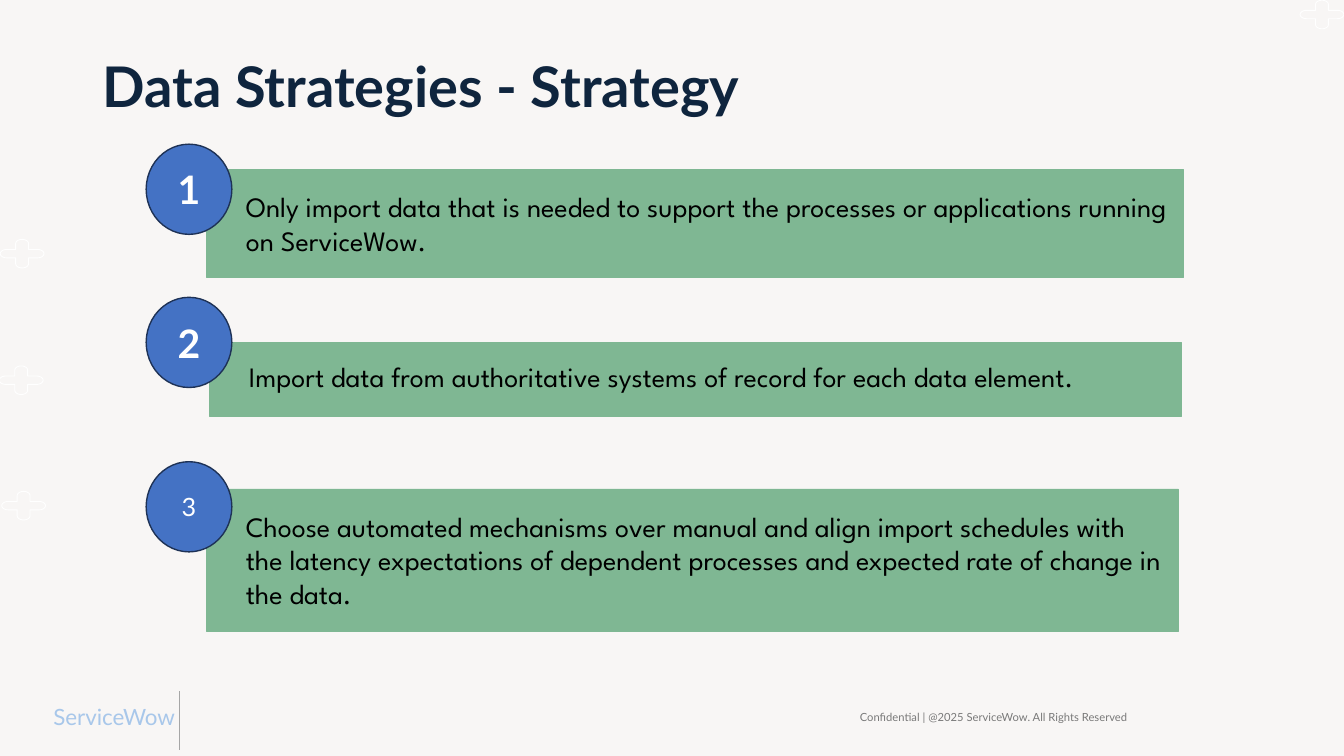
import math
from dataclasses import dataclass

from lxml import etree
from pptx import Presentation
from pptx.dml.color import RGBColor
from pptx.enum import shapes, text
from pptx.oxml import ns
from pptx.util import Pt

COLORS = {
    "background": "F8F6F5",
    "title": "0F253E",
    "wordmark": "A8C7EA",
    "divider": "A6A6A6",
    "cross": "FFFFFF",
    "footer": "797979",
    "panel": "7FB793",
    "badge": "4472C4",
    "badge_line": "1E3256",
    "number": "FFFFFF",
    "body": "000000",
}
HEADING_FONT = "Lato"
BODY_FONT = "League Spartan"


@dataclass(frozen=True)
class Box:
    left: float
    top: float
    width: float
    height: float

    def lengths(self) -> tuple:
        return Pt(self.left), Pt(self.top), Pt(self.width), Pt(self.height)


@dataclass(frozen=True)
class Strategy:
    number: str
    wording: str
    panel: Box
    badge_top: float
    number_size: float = 28
    number_bold: bool = True


@dataclass(frozen=True)
class Cross:
    center_x: float
    center_y: float


STRATEGIES = [
    Strategy(
        "3",
        "Choose automated mechanisms over manual and align import schedules with "
        "the latency expectations of dependent processes and expected rate of "
        "change in the data.",
        Box(147.6, 349.2, 694.1, 101.5), 329.8, 18, False,
    ),
    Strategy(
        "2",
        "Import data from authoritative systems of record for each data element.",
        Box(149.8, 244.8, 694.1, 52.6), 212.4,
    ),
    Strategy(
        "1",
        "Only import data that is needed to support the processes or applications "
        "running on ServiceWow.",
        Box(147.6, 121.2, 697.7, 77), 103,
    ),
]
CROSSES = [
    Cross(944.3, 10.4),
    Cross(15.8, 181.2),
    Cross(15.2, 271.6),
    Cross(16.9, 361.2),
]


def color(name: str) -> RGBColor:
    return RGBColor.from_string(COLORS[name])


def write(shape, wording: str, size: float, color_name: str, font: str = HEADING_FONT,
          bold: bool = False, align=text.PP_ALIGN.LEFT,
          anchor=text.MSO_ANCHOR.TOP) -> None:
    frame = shape.text_frame
    frame.text = wording
    frame.word_wrap = True
    frame.vertical_anchor = anchor
    paragraph = frame.paragraphs[0]
    paragraph.alignment = align
    paragraph.font.size = Pt(size)
    paragraph.font.name = font
    paragraph.font.bold = bold
    paragraph.font.color.rgb = color(color_name)


def set_outline(shape, color_name: str, width: float) -> None:
    shape.line.color.rgb = color(color_name)
    shape.line.width = Pt(width)


def add_filled(parent, kind, box: Box, fill: str, line: str, line_width: float):
    shape = parent.shapes.add_shape(kind, *box.lengths())
    shape.shadow.inherit = False
    shape.fill.solid()
    shape.fill.fore_color.rgb = color(fill)
    set_outline(shape, line, line_width)
    return shape


def add_strategy(slide, strategy: Strategy) -> None:
    group = slide.shapes.add_group_shape()
    panel = add_filled(group, shapes.MSO_SHAPE.RECTANGLE, strategy.panel,
                       "panel", "panel", 0.5)
    write(panel, strategy.wording, 20, "body", BODY_FONT)
    frame = panel.text_frame
    frame.margin_left, frame.margin_right = Pt(28), Pt(7.2)
    frame.margin_top = frame.margin_bottom = Pt(14.4)
    frame.auto_size = text.MSO_AUTO_SIZE.SHAPE_TO_FIT_TEXT

    badge = add_filled(group, shapes.MSO_SHAPE.OVAL,
                       Box(104.4, strategy.badge_top, 61.2, 64.4),
                       "badge", "badge_line", 1)
    write(badge, strategy.number, strategy.number_size, "number",
          bold=strategy.number_bold, align=text.PP_ALIGN.CENTER,
          anchor=text.MSO_ANCHOR.MIDDLE)


def add_cross(slide, cross: Cross) -> None:
    unit_x, unit_y, cap_center = 4.6, 3, 2.4
    angles = [math.radians(degrees) for degrees in range(-90, 91, 15)]
    arm = [(cap_center + math.cos(angle), math.sin(angle)) for angle in angles]
    arm.append((1, 1))
    points = []
    for _ in range(4):
        points += [(Pt(cross.center_x + x * unit_x), Pt(cross.center_y + y * unit_y))
                   for x, y in arm]
        arm = [(-y, x) for x, y in arm]
    builder = slide.shapes.build_freeform(*points[0])
    builder.add_line_segments(points[1:], close=True)
    shape = builder.convert_to_shape()
    shape.shadow.inherit = False
    shape.fill.background()
    set_outline(shape, "cross", 0.63)


def add_divider(slide) -> None:
    divider = slide.shapes.add_connector(
        shapes.MSO_CONNECTOR.STRAIGHT, Pt(128.2), Pt(493.9), Pt(128.2), Pt(535.7))
    set_outline(divider, "divider", 0.5)
    etree.SubElement(divider._element.spPr, ns.qn("a:effectLst"))


def main() -> None:
    presentation = Presentation()
    presentation.slide_width = Pt(960)
    presentation.slide_height = Pt(540)
    slide = presentation.slides.add_slide(presentation.slide_layouts[5])
    slide.background.fill.solid()
    slide.background.fill.fore_color.rgb = color("background")

    title = slide.shapes.title
    title.left, title.top, title.width, title.height = Box(66.2, 33.1, 758.2, 64.1).lengths()
    write(title, "Data Strategies - Strategy", 40, "title", bold=True)

    wordmark = slide.shapes.add_textbox(*Box(31, 499, 109.4, 26.6).lengths())
    write(wordmark, "ServiceWow", 16, "wordmark")
    add_divider(slide)
    for cross in CROSSES:
        add_cross(slide, cross)

    footer = slide.shapes.add_textbox(*Box(547.9, 497.5, 324, 28.8).lengths())
    write(footer, "Confidential | @2025 ServiceWow. All Rights Reserved", 8, "footer",
          align=text.PP_ALIGN.CENTER, anchor=text.MSO_ANCHOR.MIDDLE)
    for strategy in STRATEGIES:
        add_strategy(slide, strategy)

    presentation.save("out.pptx")


if __name__ == "__main__":
    main()
